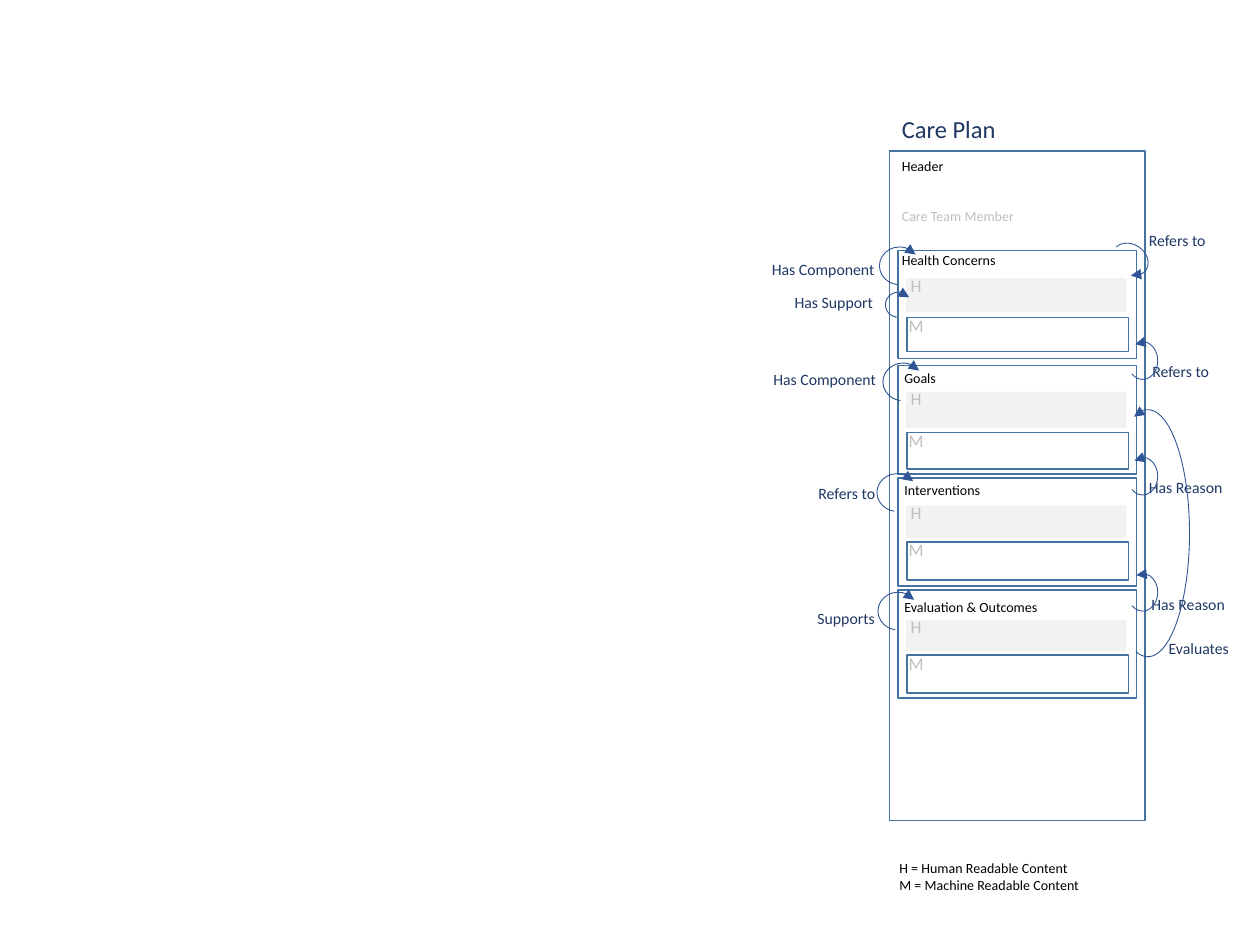
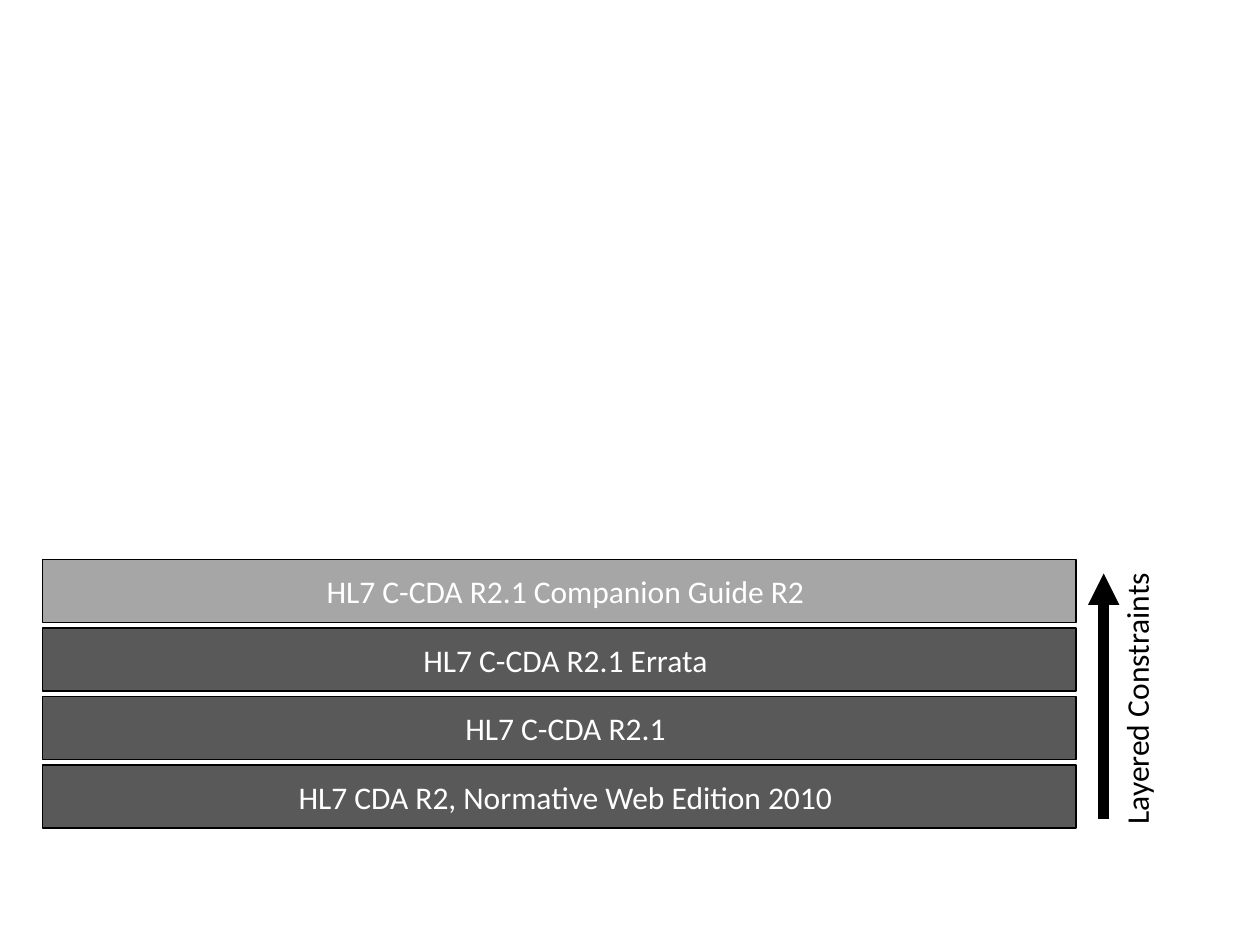
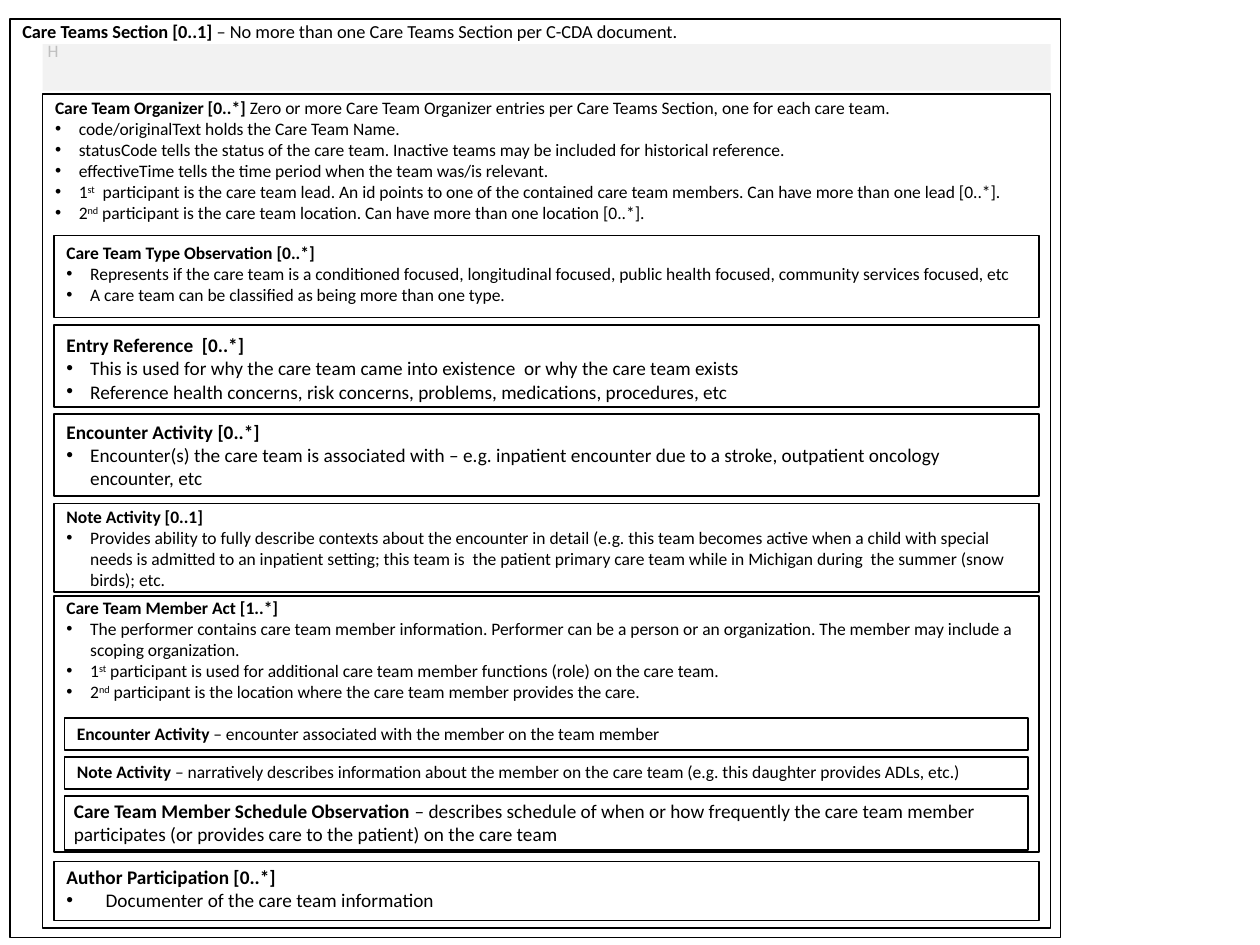
from dataclasses import dataclass

from lxml.etree import SubElement
from pptx import Presentation
from pptx.dml.color import RGBColor
from pptx.enum.shapes import MSO_CONNECTOR, MSO_SHAPE
from pptx.enum.text import MSO_AUTO_SIZE, PP_ALIGN
from pptx.oxml.ns import qn
from pptx.util import Cm, Pt


@dataclass(frozen=True)
class Theme:
    """Colours, font and type sizes shared by all slides."""
    font: str = "Calibri"
    black: str = "000000"
    white: str = "FFFFFF"
    navy: str = "203864"
    frame: str = "43739E"
    arc: str = "2F5597"
    muted: str = "BFBFBF"
    band: str = "F2F2F2"
    dark_bar: str = "595959"
    light_bar: str = "A6A6A6"
    caption: float = 8
    relation: float = 9
    body: float = 10
    section: float = 10.5
    large: float = 11
    title: float = 14
    bar: float = 18


@dataclass(frozen=True)
class Box:
    """A rectangle in centimetres."""
    left: float
    top: float
    width: float
    height: float

    def at(self, left, top, width, height):
        """Return a box placed relative to this one."""
        return Box(self.left + left, self.top + top, width, height)

    def lengths(self):
        """Return the four sides as slide lengths."""
        return [Cm(side) for side in (self.left, self.top, self.width, self.height)]


THEME = Theme()


def colour(code):
    """Turn a hex code into a colour."""
    return RGBColor.from_string(code)


def add_box(page, box, fill=None, line=None, weight=1, kind=MSO_SHAPE.RECTANGLE):
    """Draw a flat preset shape."""
    shape = page.shapes.add_shape(kind, *box.lengths())
    shape.shadow.inherit = False
    if fill:
        shape.fill.solid()
        shape.fill.fore_color.rgb = colour(fill)
    else:
        shape.fill.background()
    if line:
        shape.line.color.rgb = colour(line)
        shape.line.width = Pt(weight)
    else:
        shape.line.fill.background()
    return shape


def style(span, size, ink, bold=False):
    """Format one run."""
    span.font.name = THEME.font
    span.font.size = Pt(size)
    span.font.bold = bold
    span.font.color.rgb = colour(ink)


def add_label(page, box, text, size, ink=THEME.black, wrap=False, align=PP_ALIGN.LEFT):
    """Write plain text in one format."""
    label = page.shapes.add_textbox(*box.lengths())
    frame = label.text_frame
    frame.word_wrap = wrap
    frame.auto_size = MSO_AUTO_SIZE.SHAPE_TO_FIT_TEXT
    frame.text = text
    for para in frame.paragraphs:
        para.alignment = align
        for span in para.runs:
            style(span, size, ink)
    return label


def add_arrowhead(shape, end="tailEnd"):
    """Put a triangle on one end of a line."""
    outline = shape.element.spPr.find(qn("a:ln"))
    SubElement(outline, qn(f"a:{end}"), type="triangle")


# Care plan diagram

def plan_section(page, box, title, label_at, band, machine):
    """Draw one section with its human and machine readable parts."""
    add_box(page, box, line=THEME.frame)
    left, top, width = label_at
    add_label(page, box.at(left, top, width, 0.61), title, THEME.caption)
    top, height = band
    add_box(page, box.at(0.15, top, 4.45, height), fill=THEME.band)
    add_label(page, box.at(0, top - 0.2, 0.74, 0.69), "H", THEME.body, THEME.muted)
    top, height = machine
    add_box(page, box.at(0.17, top, 4.47, height), line=THEME.frame)
    add_label(page, box.at(-0.04, top - 0.18, 0.81, 0.69), "M", THEME.body, THEME.muted)


def relation_arc(page, box, start, finish, flip=False, turn=0, end="tailEnd"):
    """Draw a curved arrow."""
    arc = add_box(page, box, line=THEME.arc, weight=0.5, kind=MSO_SHAPE.ARC)
    arc.adjustments[0], arc.adjustments[1] = start, finish
    arc.rotation = turn
    if flip:
        arc.element.spPr.get_or_add_xfrm().set("flipH", "1")
    add_arrowhead(arc, end)


def relations(page, box):
    """Place the relation names and arrows around the plan."""
    for text, left, top, width in [
        ("Has Component", -2.62, 2.06, 2.59),
        ("Has Support", -2.16, 2.72, 2.11),
        ("Refers to", 4.98, 1.47, 1.68),
        ("Has Component", -2.59, 4.27, 2.59),
        ("Refers to", 5.05, 4.11, 1.68),
        ("Has Reason", 4.98, 6.45, 2.01),
        ("Refers to", -1.68, 6.58, 1.68),
        ("Has Reason", 5.03, 8.81, 2.01),
        ("Supports", -1.7, 9.09, 1.68),
        ("Evaluates", 5.38, 9.7, 1.75),
    ]:
        add_label(page, box.at(left, top, width, 0.64), text, THEME.relation, THEME.navy)
    loop = (58.94, 195)
    for left, top in [(-0.2, 1.93), (-0.13, 4.27), (-0.25, 6.5), (-0.23, 8.89)]:
        relation_arc(page, box.at(left, top, 0.81, 0.76), *loop)
    relation_arc(page, box.at(-0.08, 2.84, 0.53, 0.51), *loop)
    relation_arc(page, box.at(4.55, 1.8, 0.61, 0.76), *loop, turn=123.3)
    for top, finish in [(3.84, 176.74), (6.17, 178.72), (8.51, 174.13)]:
        relation_arc(page, box.at(4.8, top, 0.61, 0.76), 30.92, finish, flip=True)
    relation_arc(page, box.at(4.37, 5.21, 1.68, 4.98), 157.94, 57.49, end="headEnd")


def care_plan(page, box):
    """Draw the care plan document with its sections, relations and key."""
    add_box(page, box, line=THEME.frame)
    add_label(page, box.at(0, -0.87, 2.41, 0.86), "Care Plan", THEME.title, THEME.navy)
    add_label(page, box.at(0, 0, 1.37, 0.61), "Header", THEME.caption)
    add_label(page, box.at(0, 1.01, 2.82, 0.61), "Care Team Member",
              THEME.caption, THEME.muted)
    for top, *parts in [
        (2, "Health Concerns", (-0.18, -0.1, 2.41), (0.56, 0.69), (1.35, 0.69)),
        (4.32, "Goals", (-0.13, -0.05, 1.17), (0.53, 0.74), (1.35, 0.74)),
        (6.58, "Interventions", (-0.13, -0.05, 2.06), (0.56, 0.66), (1.3, 0.76)),
        (8.84, "Evaluation & Outcomes", (-0.13, 0.05, 3.25), (0.61, 0.64), (1.32, 0.76)),
    ]:
        plan_section(page, box.at(0.18, top, 4.8, 2.18), *parts)
    relations(page, box)
    add_label(page, box.at(-0.05, 14.15, 5.41, 0.94),
              "H = Human Readable Content\nM = Machine Readable Content",
              THEME.caption, wrap=True)


# Layered standards

def layer_stack(page, box):
    """Stack the standards, topmost first, beside an upward arrow."""
    layers = ["HL7 C-CDA R2.1 Companion Guide R2", "HL7 C-CDA R2.1 Errata",
              "HL7 C-CDA R2.1", "HL7 CDA R2, Normative Web Edition 2010"]
    bar_height = 1.27
    pitch = (box.height - bar_height) / (len(layers) - 1)
    for index, text in enumerate(layers):
        bar = box.at(0, index * pitch, box.width, bar_height)
        add_box(page, bar, THEME.dark_bar if index else THEME.light_bar, THEME.black)
        add_label(page, bar.at(0.48, 0.13, 20.12, 1.02), text, THEME.bar,
                  THEME.white, wrap=True, align=PP_ALIGN.CENTER)

    across = Cm(box.left + box.width + 0.56)
    arrow = page.shapes.add_connector(MSO_CONNECTOR.STRAIGHT, across, Cm(box.top + 5.23),
                                      across, Cm(box.top + 0.28))
    arrow.line.color.rgb = colour(THEME.black)
    arrow.line.width = Pt(6)
    add_arrowhead(arrow)
    SubElement(arrow.element.spPr, qn("a:effectLst"))
    caption = add_label(page, box.at(19.23, 2.26, 5.64, 1.02), "Layered Constraints", THEME.bar)
    caption.rotation = 270


# Care teams section

def add_bullet(para, indent):
    """Give a paragraph a hanging bullet."""
    props = para._p.get_or_add_pPr()
    props.set("marL", str(Cm(indent)))
    props.set("indent", str(-Cm(indent)))
    SubElement(props, qn("a:buFont"), typeface="Arial")
    SubElement(props, qn("a:buChar"), char="•")


def write_bullet(para, text, size, indent):
    """Write a bullet; text between carets is raised."""
    add_bullet(para, indent)
    for index, part in enumerate(text.split("^")):
        span = para.add_run()
        span.text = part
        style(span, size, THEME.black)
        if index % 2:
            span._r.get_or_add_rPr().set("baseline", "30000")


def panel(page, box, text_at, size, heading, lead="", bullets=(), indent=0.48):
    """Draw a framed panel with a bold heading, a lead and bullets."""
    add_box(page, box, THEME.white, THEME.black)
    left, top, width = text_at
    label = add_label(page, box.at(left, top, width, box.height), heading, size, wrap=True)
    first = label.text_frame.paragraphs[0]
    first.runs[0].font.bold = True
    if lead:
        span = first.add_run()
        span.text = " " + lead
        style(span, size, THEME.black)
    for text in bullets:
        write_bullet(label.text_frame.add_paragraph(), text, size, indent)


def member_details(page, box):
    """Stack the three panels nested in the member act."""
    for index, (height, text_at, size, heading, lead) in enumerate([
        (0.64, (0, -0.03, 18.95), THEME.body, "Encounter Activity",
         "– encounter associated with the member on the team member"),
        (0.64, (0, -0.05, 18.59), THEME.body, "Note Activity",
         "– narratively describes information about the member on the care team "
         "(e.g. this daughter provides ADLs, etc.)"),
        (1.09, (-0.06, -0.05, 19.43), THEME.large, "Care Team Member Schedule Observation",
         "– describes schedule of when or how frequently the care team member "
         "participates (or provides care to the patient) on the care team"),
    ]):
        panel(page, box.at(0, index * 0.78, box.width, height), text_at, size, heading, lead)


def care_teams(page, box):
    """Draw the section with its organizer and all nested entries."""
    panel(page, box, (0, -0.1, 21.01), THEME.section, "Care Teams Section [0..1]",
          "– No more than one Care Teams Section per C-CDA document.")
    panel(page, box.at(0.66, 1.52, 20.32, 16.81), (0, -0.07, 20.32), THEME.body,
          "Care Team Organizer [0..*]",
          "Zero or more Care Team Organizer entries per Care Teams Section, "
          "one for each care team.",
          ["code/originalText holds the Care Team Name.",
           "statusCode tells the status of the care team. Inactive teams may be "
           "included for historical reference.",
           "effectiveTime tells the time period when the team was/is relevant.",
           "1^st^  participant is the care team lead. An id points to one of the contained "
           "care team members. Can have more than one lead [0..*].",
           "2^nd^ participant is the care team location. "
           "Can have more than one location [0..*]."])
    for top, height, shift, size, heading, bullets in [
        (4.37, 1.65, 0, THEME.body, "Care Team Type Observation [0..*]",
         ["Represents if the care team is a conditioned focused, longitudinal focused, "
          "public health focused, community services focused, etc",
          "A care team can be classified as being more than one type."]),
        (6.17, 1.65, 0.05, THEME.large, "Entry Reference  [0..*]",
         ["This is used for why the care team came into existence  "
          "or why the care team exists",
          "Reference health concerns, risk concerns, problems, medications, "
          "procedures, etc"]),
        (7.97, 1.65, 0, THEME.large, "Encounter Activity [0..*]",
         ["Encounter(s) the care team is associated with – e.g. inpatient encounter "
          "due to a stroke, outpatient oncology encounter, etc"]),
        (9.77, 1.78, -0.08, THEME.body, "Note Activity [0..1]",
         ["Provides ability to fully describe contexts about the encounter in detail "
          "(e.g. this team becomes active when a child with special needs is admitted to "
          "an inpatient setting; this team is  the patient primary care team while in "
          "Michigan during  the summer (snow birds); etc."]),
        (11.63, 5.16, -0.1, THEME.body, "Care Team Member Act [1..*]",
         ["The performer contains care team member information. Performer can be a person "
          "or an organization. The member may include a scoping organization.",
          "1^st^ participant is used for additional care team member functions (role) "
          "on the care team.",
          "2^nd^ participant is the location where the care team member "
          "provides the care."]),
    ]:
        panel(page, box.at(0.89, top, 19.86, height), (0, shift, 19.63), size,
              heading, bullets=bullets)
    member_details(page, box.at(1.1, 14.1, 19.43, 2.65))
    panel(page, box.at(0.89, 16.99, 19.86, 1.19), (0, -0.05, 19.63), THEME.large,
          "Author Participation [0..*]",
          bullets=["Documenter of the care team information"], indent=0.79)
    add_box(page, box.at(0.66, 0.51, 20.32, 0.94), fill=THEME.band)
    add_label(page, box.at(0.51, 0.31, 0.74, 0.69), "H", THEME.body, THEME.muted)


def main():
    """Build the deck."""
    deck = Presentation()
    deck.slide_width, deck.slide_height = Cm(25.4), Cm(19.05)
    blank = deck.slide_layouts[6]
    for draw, box in [
        (care_plan, Box(17.93, 3.05, 5.16, 13.49)),
        (layer_stack, Box(0.86, 11.28, 20.83, 5.41)),
        (care_teams, Box(0.2, 0.38, 21.18, 18.52)),
    ]:
        draw(deck.slides.add_slide(blank), box)
    deck.save("out.pptx")


main()
